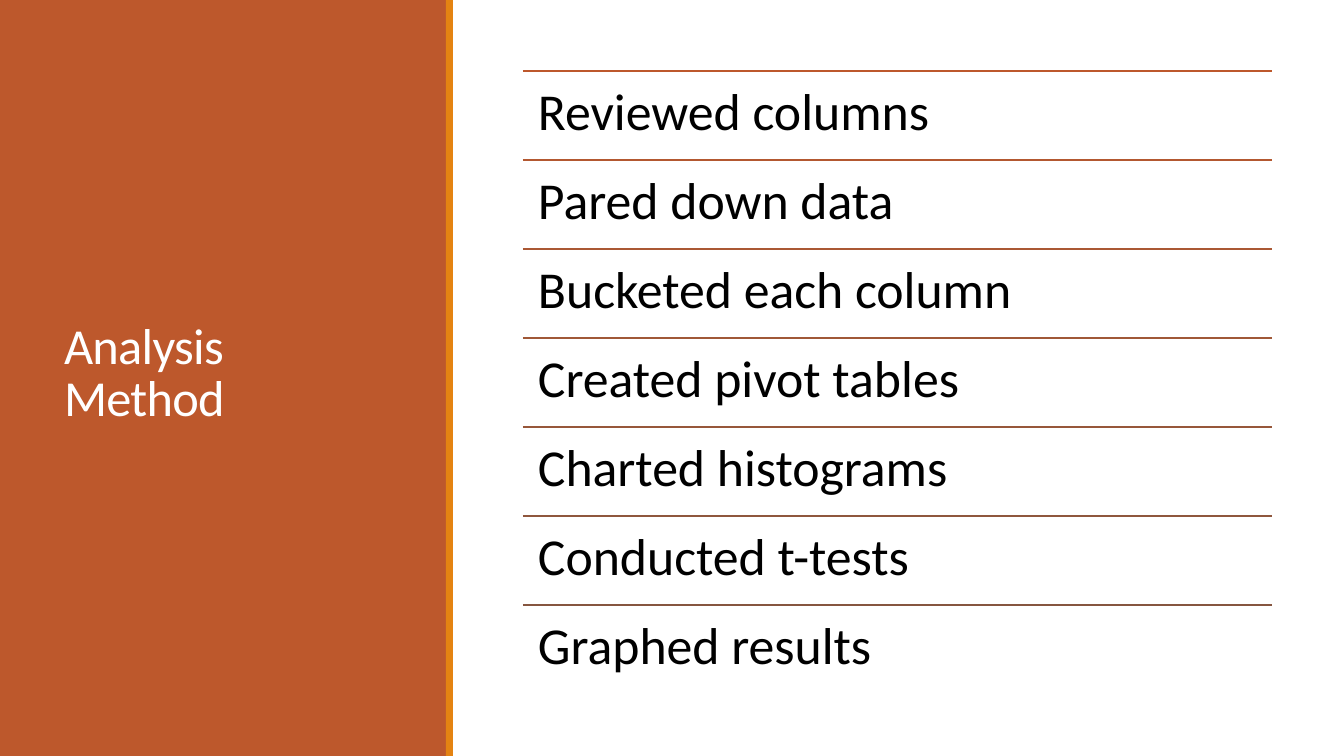
from dataclasses import dataclass

from lxml.etree import SubElement
from pptx import Presentation
from pptx.dml.color import RGBColor
from pptx.enum.shapes import MSO_CONNECTOR, MSO_SHAPE
from pptx.enum.text import MSO_ANCHOR
from pptx.oxml.ns import qn
from pptx.util import Emu, Pt

TITLE = "Analysis Method"
STEPS = [
    "Reviewed columns",
    "Pared down data",
    "Bucketed each column",
    "Created pivot tables",
    "Charted histograms",
    "Conducted t-tests",
    "Graphed results",
]

SLIDE_WIDTH, SLIDE_HEIGHT = 1344, 756
PANEL = (0, 0, 447, SLIDE_HEIGHT)
STRIPE = (446, 0, 7, SLIDE_HEIGHT)
TITLE_BOX = (54, 57, 340, 636)
LIST_LEFT, LIST_TOP, LIST_WIDTH, ROW_HEIGHT = 523, 71, 749, 89


@dataclass(frozen=True)
class Theme:
    font: str = "Calibri"
    background: str = "FFFFFF"
    panel: str = "BD582C"
    stripe: str = "E48312"
    title: str = "FFFFFF"
    text: str = "000000"
    rules: tuple = ("BD582C", "B35830", "AA5834", "A05837", "97573A", "8F573D", "865640")
    title_size: int = 36
    step_size: int = 37
    rule_width: float = 1.25


THEME = Theme()


def px(length):
    return Emu(round(length * 914400 / 100.8))


def color(value):
    return RGBColor.from_string(value)


def add_block(page, place, fill):
    block = page.shapes.add_shape(MSO_SHAPE.RECTANGLE, *map(px, place))
    block.shadow.inherit = False
    block.fill.solid()
    block.fill.fore_color.rgb = color(fill)
    block.line.fill.background()


def add_text(page, place, text, size, fill, spacing, inset, anchor):
    box = page.shapes.add_textbox(*map(px, place))
    frame = box.text_frame
    frame.word_wrap = True
    frame.vertical_anchor = anchor
    frame.margin_left = frame.margin_right = px(inset[0])
    frame.margin_top = frame.margin_bottom = px(inset[1])
    frame.text = text
    para = frame.paragraphs[0]
    para.line_spacing = spacing
    span = para.runs[0]
    span.font.name = THEME.font
    span.font.size = Pt(size)
    span.font.color.rgb = color(fill)
    return span


def add_rule(page, top, fill):
    ends = (LIST_LEFT, top, LIST_LEFT + LIST_WIDTH, top)
    rule = page.shapes.add_connector(MSO_CONNECTOR.STRAIGHT, *map(px, ends))
    rule.line.color.rgb = color(fill)
    rule.line.width = Pt(THEME.rule_width)
    SubElement(rule._element.spPr, qn("a:effectLst"))


def main():
    deck = Presentation()
    deck.slide_width, deck.slide_height = px(SLIDE_WIDTH), px(SLIDE_HEIGHT)
    page = deck.slides.add_slide(deck.slide_layouts[6])
    page.background.fill.solid()
    page.background.fill.fore_color.rgb = color(THEME.background)

    add_block(page, PANEL, THEME.panel)
    title = add_text(page, TITLE_BOX, TITLE, THEME.title_size, THEME.title,
                     0.85, (10, 5), MSO_ANCHOR.MIDDLE)
    title._r.get_or_add_rPr().set("spc", "-50")
    add_block(page, STRIPE, THEME.stripe)

    for index, (step, fill) in enumerate(zip(STEPS, THEME.rules)):
        top = LIST_TOP + index * ROW_HEIGHT
        add_rule(page, top, fill)
        add_text(page, (LIST_LEFT, top, LIST_WIDTH, ROW_HEIGHT), step, THEME.step_size,
                 THEME.text, 0.9, (15, 15), MSO_ANCHOR.TOP)

    deck.save("out.pptx")


if __name__ == "__main__":
    main()
